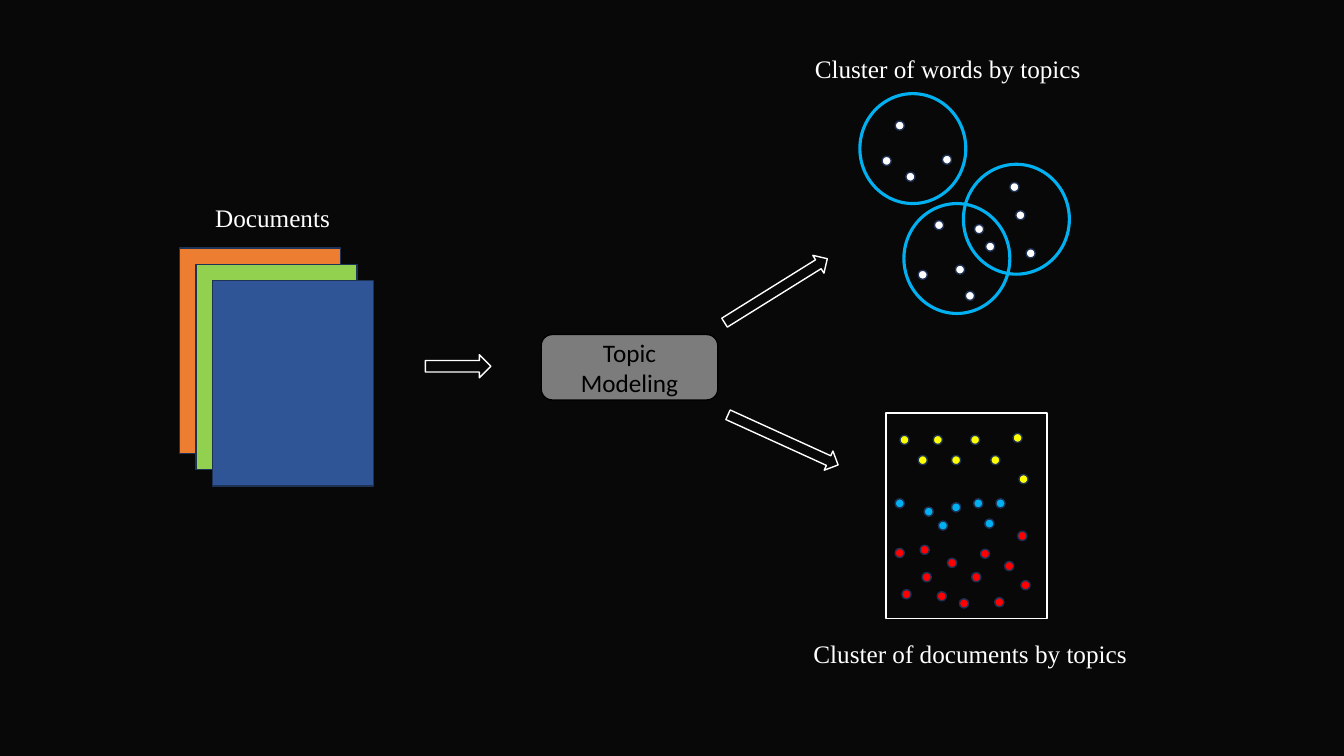
from pptx import Presentation
from pptx.dml.color import RGBColor
from pptx.enum.shapes import MSO_SHAPE
from pptx.enum.text import MSO_ANCHOR, MSO_AUTO_SIZE, PP_ALIGN
from pptx.util import Cm, Pt

BACKGROUND = RGBColor(0x08, 0x08, 0x08)
WHITE = RGBColor(0xFF, 0xFF, 0xFF)
BLACK = RGBColor(0x00, 0x00, 0x00)
NAVY = RGBColor(0x1E, 0x32, 0x56)
ORANGE = RGBColor(0xED, 0x7D, 0x31)
GREEN = RGBColor(0x92, 0xD0, 0x50)
BLUE = RGBColor(0x2F, 0x55, 0x97)
GRAY = RGBColor(0x7C, 0x7C, 0x7C)
SKY = RGBColor(0x00, 0xB0, 0xF0)
YELLOW = RGBColor(0xFF, 0xFF, 0x00)
RED = RGBColor(0xFF, 0x00, 0x00)

SHEET_WIDTH, SHEET_HEIGHT = 4.06, 5.18
DOT_SIZE = 0.23


def add_figure(parent, kind, left, top, width, height, fill, line, weight=1):
    figure = parent.add_shape(kind, Cm(left), Cm(top), Cm(width), Cm(height))
    figure.shadow.inherit = False
    if fill is None:
        figure.fill.background()
    else:
        figure.fill.solid()
        figure.fill.fore_color.rgb = fill
    figure.line.color.rgb = line
    figure.line.width = Pt(weight)
    return figure


def write_centered(frame, text, font_name, color):
    frame.word_wrap = True
    para = frame.paragraphs[0]
    para.text = text
    para.alignment = PP_ALIGN.CENTER
    para.font.name = font_name
    para.font.size = Pt(18)
    para.font.color.rgb = color


deck = Presentation()
deck.slide_width, deck.slide_height = Cm(33.87), Cm(19.05)
page = deck.slides.add_slide(deck.slide_layouts[6])
page.background.fill.solid()
page.background.fill.fore_color.rgb = BACKGROUND

# Stack of documents
for index, color in enumerate([ORANGE, GREEN, BLUE]):
    add_figure(page.shapes, MSO_SHAPE.RECTANGLE, 4.52 + 0.42 * index, 6.25 + 0.41 * index,
               SHEET_WIDTH, SHEET_HEIGHT, color, NAVY)

# Topic modeling step
step = add_figure(page.shapes, MSO_SHAPE.ROUNDED_RECTANGLE, 13.64, 8.43, 4.45, 1.65, GRAY, BLACK)
step.text_frame.vertical_anchor = MSO_ANCHOR.MIDDLE
write_centered(step.text_frame, "Topic Modeling", "Calibri", BLACK)

# Word clusters
for left, top in [(21.67, 2.36), (24.28, 4.14), (22.78, 5.13)]:
    add_figure(page.shapes, MSO_SHAPE.OVAL, left, top, 2.67, 2.77, None, SKY, 2.25)

# Sheet that holds the document clusters
document_group = page.shapes.add_group_shape()
add_figure(document_group.shapes, MSO_SHAPE.RECTANGLE, 22.33, 10.41,
           SHEET_WIDTH, SHEET_HEIGHT, None, WHITE)

# Dots of the words and of the documents, by topic
word_dots = [
    (22.23, 3.94), (22.83, 4.34), (22.56, 3.05), (23.75, 3.91), (23.55, 5.56),
    (24.56, 5.66), (24.84, 6.1), (24.08, 6.68), (23.14, 6.81), (24.33, 7.34),
    (25.6, 5.31), (25.45, 4.6), (25.86, 6.27),
]
yellow_dots = [
    (22.68, 10.97), (23.52, 10.97), (24.46, 10.97), (25.53, 10.92),
    (23.14, 11.48), (23.98, 11.48), (24.97, 11.48), (25.68, 11.96),
]
sky_dots = [
    (22.56, 12.57), (23.98, 12.67), (23.29, 12.78), (24.82, 13.08),
    (25.1, 12.57), (24.54, 12.57), (23.65, 13.13),
]
red_dots = [
    (22.56, 13.82), (24.18, 15.09), (23.24, 14.43), (22.73, 14.86), (25.07, 15.06),
    (25.32, 14.15), (23.88, 14.07), (24.49, 14.43), (25.73, 14.63), (23.62, 14.91),
    (23.19, 13.74), (24.71, 13.84), (25.65, 13.39),
]
for parent, color, dots in [
    (page.shapes, WHITE, word_dots),
    (document_group.shapes, YELLOW, yellow_dots),
    (document_group.shapes, SKY, sky_dots),
    (document_group.shapes, RED, red_dots),
]:
    for left, top in dots:
        add_figure(parent, MSO_SHAPE.OVAL, left, top, DOT_SIZE, DOT_SIZE, color, NAVY)

# Labels
for text, left, top, width in [
    ("Documents", 4.42, 4.98, 4.9),
    ("Cluster of words by topics", 20.19, 1.22, 7.39),
    ("Cluster of documents by topics", 20.12, 15.95, 8.66),
]:
    box = page.shapes.add_textbox(Cm(left), Cm(top), Cm(width), Cm(1.02))
    write_centered(box.text_frame, text, "Times New Roman", WHITE)
    box.text_frame.auto_size = MSO_AUTO_SIZE.SHAPE_TO_FIT_TEXT

# Arrows
for left, top, width, height, angle in [
    (10.72, 8.94, 1.65, 0.58, 0),
    (18.03, 7.06, 3.05, 0.53, 328.1),
    (18.21, 10.82, 3.05, 0.53, 24.5),
]:
    arrow = add_figure(page.shapes, MSO_SHAPE.RIGHT_ARROW, left, top, width, height, None, WHITE)
    arrow.rotation = angle

deck.save("out.pptx")
